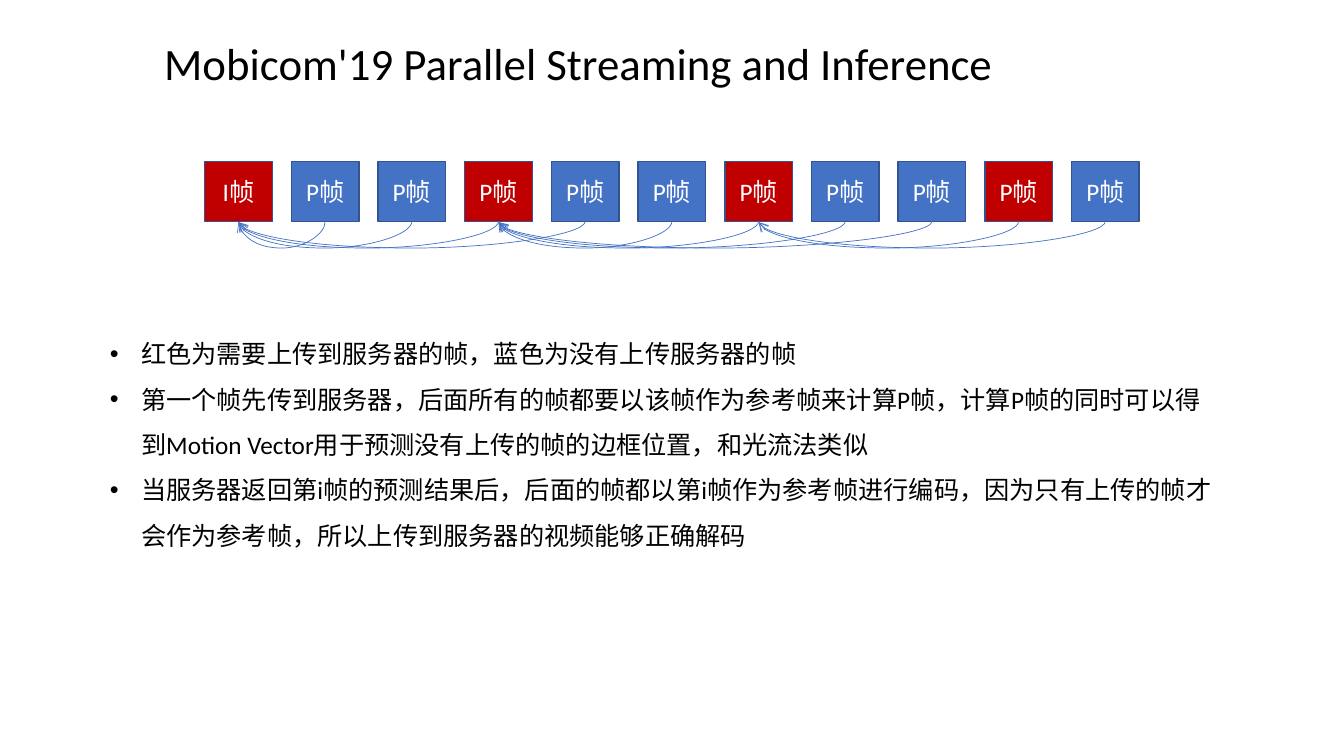
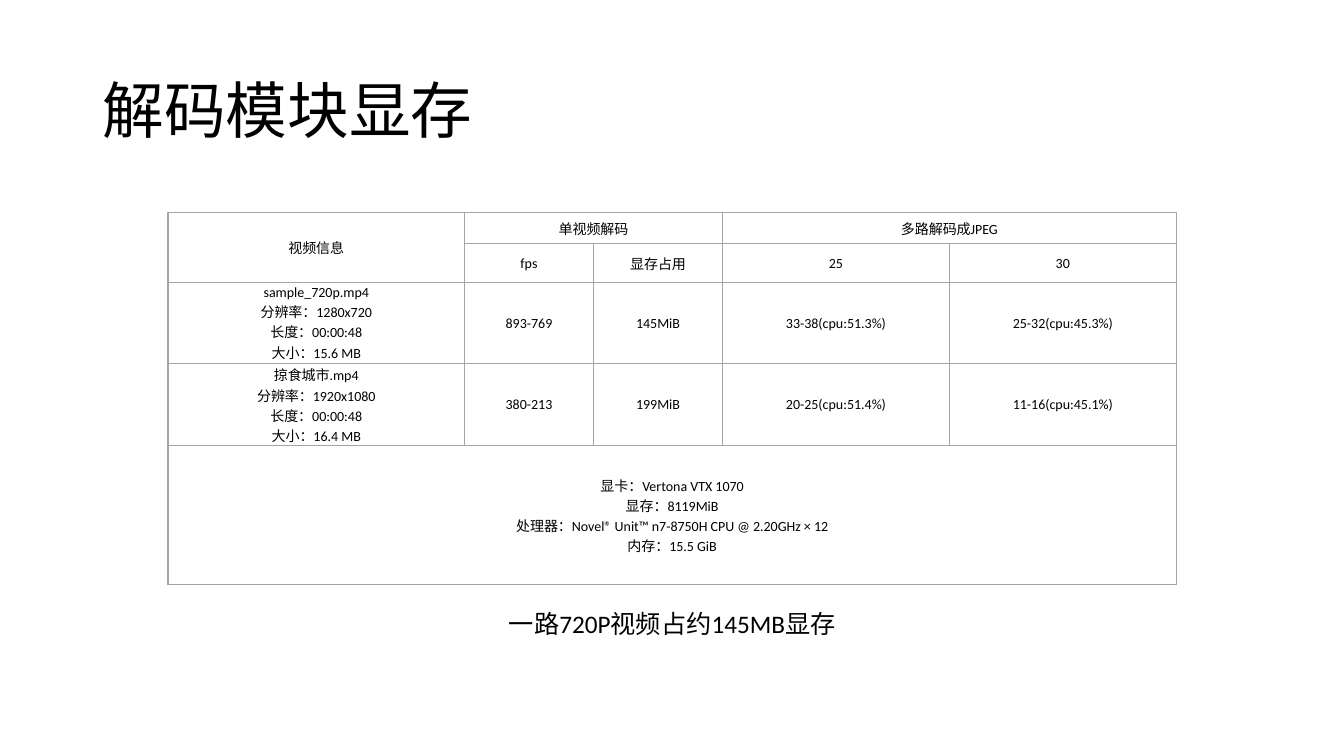
from copy import deepcopy

from lxml.etree import SubElement as Sub
from pptx import Presentation
from pptx.dml.color import RGBColor
from pptx.enum.shapes import MSO_CONNECTOR as Link, MSO_SHAPE as Shape
from pptx.enum.text import MSO_ANCHOR as Anchor, PP_ALIGN as Align
from pptx.oxml.ns import qn
from pptx.util import Inches, Pt

WIDE, TALL = Inches(13.33), Inches(7.5)
FONT = "Calibri"
BLACK = RGBColor(0x00, 0x00, 0x00)
WHITE = RGBColor(0xFF, 0xFF, 0xFF)
RED = RGBColor(0xC0, 0x00, 0x00)
BLUE = RGBColor(0x44, 0x72, 0xC4)
NAVY = RGBColor(0x32, 0x54, 0x91)
GRAY = RGBColor(0xA5, 0xA5, 0xA5)

LEFT, STEP, SIDE = 15.23, 6.45, 5.03
COUNT, EVERY, REACH = 11, 3, 4
THIN, DIP = Inches(0.01), Inches(0.27)

POINTS = [
    "红色为需要上传到服务器的帧，蓝色为没有上传服务器的帧",
    "第一个帧先传到服务器，后面所有的帧都要以该帧作为参考帧来计算P帧，计算P帧的同时可以得到Motion Vector用于预测没有上传的帧的边框位置，和光流法类似",
    "当服务器返回第i帧的预测结果后，后面的帧都以第i帧作为参考帧进行编码，因为只有上传的帧才会作为参考帧，所以上传到服务器的视频能够正确解码",
]
COLS = [22.06, 9.6, 9.6, 16.88, 16.88]
ROWS = [4.13, 5.07, 10.8, 10.8, 18.4]
CELLS = [
    ["视频信息", "单视频解码", "", "多路解码成JPEG", ""],
    ["", "fps", "显存占用", "25", "30"],
    ["sample_720p.mp4\n分辨率：1280x720\n长度：00:00:48\n大小：15.6 MB",
     "893-769", "145MiB", "33-38(cpu:51.3%)", "25-32(cpu:45.3%)"],
    ["掠食城市.mp4\n分辨率：1920x1080\n长度：00:00:48\n大小：16.4 MB",
     "380-213", "199MiB", "20-25(cpu:51.4%)", "11-16(cpu:45.1%)"],
    ["显卡：Vertona VTX 1070\n显存：8119MiB\n"
     "处理器：Novel® Unit™ n7-8750H CPU @ 2.20GHz × 12\n内存：15.5 GiB",
     "", "", "", ""],
]
SPANS = [((0, 0), (1, 0)), ((0, 1), (0, 2)), ((0, 3), (0, 4)), ((4, 0), (4, 4))]


def across(share):
    return int(WIDE * share / 100)


def down(share):
    return int(TALL * share / 100)


def area(x, y, w, h):
    return across(x), down(y), across(w), down(h)


def write(frame, text, size=18, color=BLACK, align=Align.LEFT, space=None, dot=False):
    lines = [text] if isinstance(text, str) else text
    for n, line in enumerate(lines):
        para = frame.add_paragraph() if n else frame.paragraphs[0]
        para.text = line
        para.alignment = align
        if space:
            para.line_spacing = space
        if dot:
            props = para._p.get_or_add_pPr()
            props.set("marL", str(Inches(0.31)))
            props.set("indent", str(-Inches(0.31)))
            Sub(props, qn("a:buFont"), typeface="Arial")
            Sub(props, qn("a:buChar"), char="•")
        for run in para.runs:
            run.font.name = FONT
            run.font.size = Pt(size)
            run.font.color.rgb = color
        for stop in para._p.findall(qn("a:br")):
            stop.append(deepcopy(para.runs[0]._r.rPr))


def label(slide, text, place, anchor=Anchor.TOP, **style):
    frame = slide.shapes.add_textbox(*area(*place)).text_frame
    frame.word_wrap = True
    frame.vertical_anchor = anchor
    write(frame, text, **style)


def block(slide, n):
    box = slide.shapes.add_shape(Shape.RECTANGLE, *area(LEFT + n * STEP, 21.33, SIDE, 8))
    box.shadow.inherit = False
    box.fill.solid()
    box.fill.fore_color.rgb = BLUE if n % EVERY else RED
    box.line.color.rgb = NAVY
    box.line.width = Pt(1)
    box.text_frame.vertical_anchor = Anchor.MIDDLE
    write(box.text_frame, "P帧" if n else "I帧", color=WHITE, align=Align.CENTER)
    return box


def arc(slide, start, end):
    curve = slide.shapes.add_connector(Link.CURVE, 0, 0, 0, 0)
    curve.begin_connect(start, 2)
    curve.end_connect(end, 2)
    span = start.left - end.left
    mid = (start.left + end.left + start.width) // 2
    base = start.top + start.height
    props = curve._element.spPr
    frame = props.find(qn("a:xfrm"))
    frame.attrib.clear()
    frame.set("rot", "5400000")
    curve.left, curve.top = mid - THIN // 2, base - span // 2
    curve.width, curve.height = THIN, span
    guides = props.find(".//" + qn("a:avLst"))
    Sub(guides, qn("a:gd"), name="adj1", fmla=f"val {DIP * 100000 // THIN}")
    curve.line.color.rgb = BLUE
    curve.line.width = Pt(0.5)
    Sub(props.find(qn("a:ln")), qn("a:tailEnd"), type="arrow")
    Sub(props, qn("a:effectLst"))


def edge(cell):
    props = cell._tc.get_or_add_tcPr()
    for side in ("lnL", "lnR", "lnT", "lnB"):
        line = Sub(props, qn("a:" + side), w=str(Pt(1)))
        Sub(Sub(line, qn("a:solidFill")), qn("a:srgbClr"), val=str(GRAY))


def grid(slide):
    place = area(12.5, 28.13, sum(COLS), sum(ROWS))
    table = slide.shapes.add_table(len(ROWS), len(COLS), *place).table
    table.first_row = table.horz_banding = False
    for col, share in zip(table.columns, COLS):
        col.width = across(share)
    for row, share, texts in zip(table.rows, ROWS, CELLS):
        row.height = down(share)
        for cell, text in zip(row.cells, texts):
            cell.margin_left = cell.margin_right = cell.margin_top = Inches(0.01)
            cell.margin_bottom = 0
            cell.vertical_anchor = Anchor.MIDDLE
            edge(cell)
            cell.fill.background()
            if text:
                write(cell.text_frame, text, size=10, align=Align.CENTER)
    for first, last in SPANS:
        table.cell(*first).merge(table.cell(*last))


def stream(slide):
    label(slide, "Mobicom'19 Parallel Streaming and Inference",
          (11.48, 4.13, 81.47, 8.53), size=32)
    boxes = [block(slide, n) for n in range(COUNT)]
    for n in range(1, COUNT):
        arc(slide, boxes[n], boxes[(n - 1) // REACH * EVERY])
    label(slide, POINTS, (7.43, 42.13, 83.8, 35.6), space=1.5, dot=True)


def memory(slide):
    label(slide, "解码模块显存", (6.9, 5.33, 86.27, 19.33),
          anchor=Anchor.MIDDLE, size=44, space=0.9)
    grid(slide)
    label(slide, "一路720P视频占约145MB显存", (37.13, 79.87, 31.88, 5.33))


def main():
    deck = Presentation()
    deck.slide_width, deck.slide_height = WIDE, TALL
    for build in (stream, memory):
        build(deck.slides.add_slide(deck.slide_layouts[6]))
    deck.save("out.pptx")


if __name__ == "__main__":
    main()
